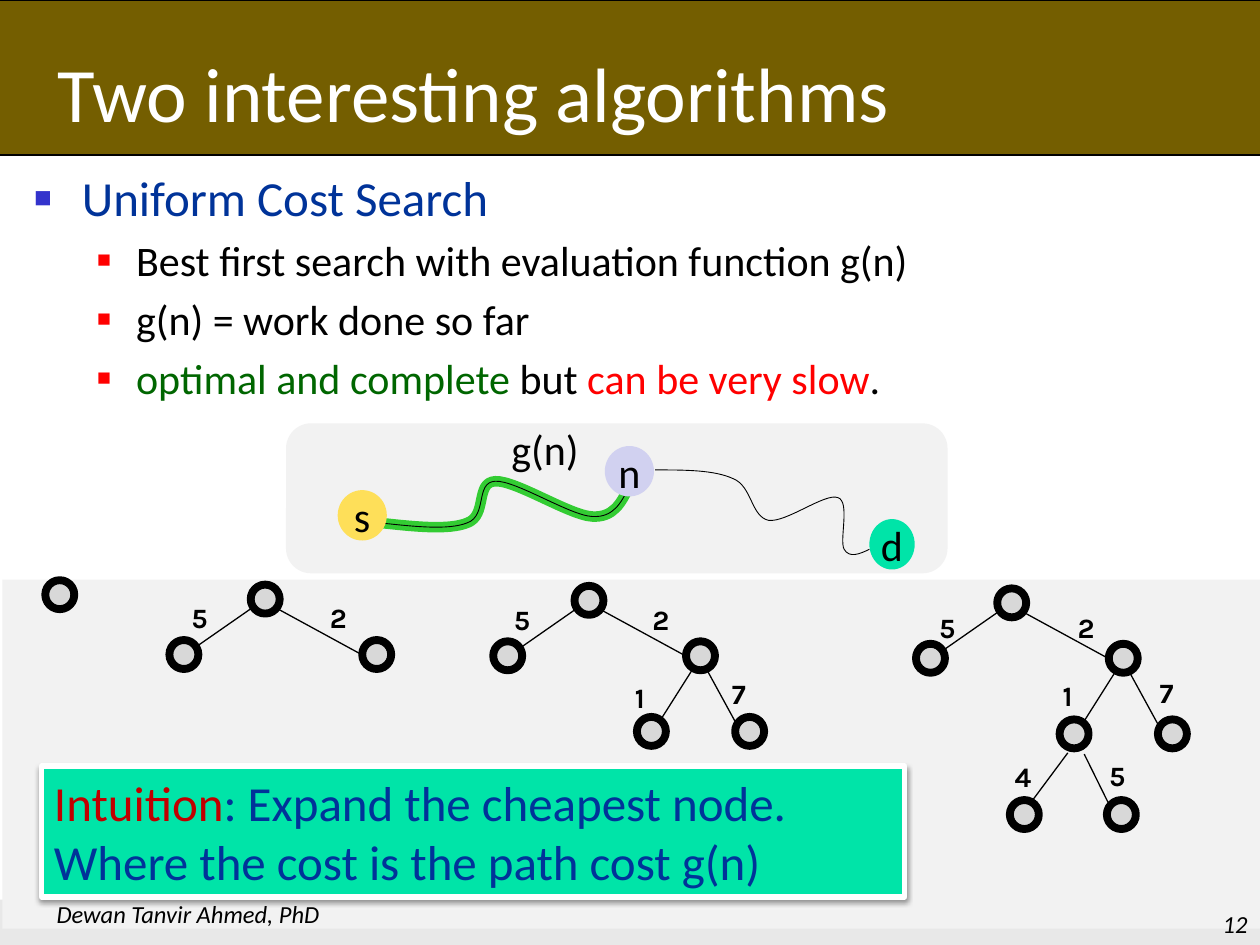
from dataclasses import dataclass

import pptx
import pptx.dml.color
import pptx.enum.shapes
import pptx.enum.text
import pptx.oxml
import pptx.oxml.ns
import pptx.util
from lxml import etree

ALIGN = pptx.enum.text.PP_ALIGN
ANCHOR = pptx.enum.text.MSO_ANCHOR
SHAPE = pptx.enum.shapes.MSO_SHAPE
COLUMNS, ROWS = 100, 75


@dataclass(frozen=True)
class Theme:
    font: str = "Calibri"
    cost_font: str = "Karla"
    black: str = "000000"
    white: str = "FFFFFF"
    header: str = "745E00"
    footer: str = "E8E8E8"
    panel: str = "F2F2F2"
    node: str = "C0C0C0"
    navy: str = "003399"
    bullet: str = "3333CC"
    red: str = "FF0000"
    dark_red: str = "C00000"
    dark_green: str = "006600"
    route: str = "33CC33"
    start: str = "FEDF59"
    middle: str = "D1D1F0"
    goal: str = "00E4A8"
    title_size: int = 44
    lead_size: int = 28
    body_size: int = 24
    cost_size: int = 16
    note_size: int = 14


def rgb(value):
    return pptx.dml.color.RGBColor.from_string(value)


def add_xml(parent, tag, **attributes):
    return etree.SubElement(parent, pptx.oxml.ns.qn(tag), attributes)


def write(paragraph, *pieces, size, font=Theme.font, color=Theme.black,
          bold=False, italic=False, align=ALIGN.LEFT):
    """Add pieces to a paragraph; each is a string or a (string, colour) pair."""
    paragraph.alignment = align
    for piece in pieces:
        words, shade = (piece, color) if isinstance(piece, str) else piece
        run = paragraph.add_run()
        run.text = words
        run.font.name, run.font.size = font, pptx.util.Pt(size)
        run.font.bold, run.font.italic = bold, italic
        run.font.color.rgb = rgb(shade)


def bend(shape):
    """Turn each three straight segments of a freeform into one cubic curve."""
    lines = list(shape._element.iter(pptx.oxml.ns.qn("a:lnTo")))
    for first in range(0, len(lines), 3):
        cubic = add_xml(lines[first].getparent(), "a:cubicBezTo")
        for line in lines[first:first + 3]:
            cubic.append(line[0])
            line.getparent().remove(line)


class SlideBuilder:
    """Places elements on a grid of COLUMNS by ROWS."""

    def __init__(self, deck, theme):
        self.theme = theme
        self.column = deck.slide_width / COLUMNS
        self.row = deck.slide_height / ROWS
        self.slide = deck.slides.add_slide(deck.slide_layouts[1])
        self.shapes = self.slide.shapes

    def emu(self, x, y):
        return round(x * self.column), round(y * self.row)

    def box(self, x, y, width, height):
        return *self.emu(x, y), *self.emu(width, height)

    def placeholder(self, index, area):
        """Move a placeholder into its area, in front of what is already drawn."""
        holder = self.slide.placeholders[index]
        holder.left, holder.top, holder.width, holder.height = self.box(*area)
        holder.element.getparent().append(holder.element)
        holder.text_frame.auto_size = pptx.enum.text.MSO_AUTO_SIZE.NONE
        holder.text_frame.vertical_anchor = ANCHOR.TOP
        return holder.text_frame

    def title(self, words, area):
        write(self.placeholder(0, area).paragraphs[0], words,
              size=self.theme.title_size, color=self.theme.white)

    def bullets(self, items, area):
        """Fill the body with (level, pieces) items."""
        theme, frame = self.theme, self.placeholder(1, area)
        styles = [(theme.lead_size, theme.navy, theme.bullet, 0.38, 0.38, "60000"),
                  (theme.body_size, theme.black, theme.red, 0.81, 0.31, "55000")]
        for number, (level, pieces) in enumerate(items):
            paragraph = frame.add_paragraph() if number else frame.paragraphs[0]
            size, color, mark, margin, hanging, scale = styles[level]
            paragraph.level = level
            paragraph.space_before = pptx.util.Pt(size * 0.2)
            write(paragraph, *pieces, size=size, color=color)
            layout = paragraph._p.get_or_add_pPr()
            layout.set("marL", str(pptx.util.Inches(margin)))
            layout.set("indent", str(-pptx.util.Inches(hanging)))
            add_xml(add_xml(layout, "a:buClr"), "a:srgbClr", val=mark)
            add_xml(layout, "a:buSzPct", val=scale)
            add_xml(layout, "a:buFont", typeface="Arial")
            add_xml(layout, "a:buChar", char="■")

    def text(self, words, area, anchor=ANCHOR.TOP, wrap=False, **style):
        frame = self.shapes.add_textbox(*self.box(*area)).text_frame
        frame.word_wrap, frame.vertical_anchor = wrap, anchor
        write(frame.paragraphs[0], words, **style)

    def shape(self, kind, area, fill, line=None, weight=0.75):
        shape = self.shapes.add_shape(kind, *self.box(*area))
        self.finish(shape, fill, line, weight)
        return shape

    def finish(self, shape, fill, line, weight):
        shape.shadow.inherit = False
        if fill:
            shape.fill.solid()
            shape.fill.fore_color.rgb = rgb(fill)
        else:
            shape.fill.background()
        if line:
            shape.line.color.rgb = rgb(line)
            shape.line.width = pptx.util.Pt(weight)
        else:
            shape.line.fill.background()

    def curve(self, points, color, weight):
        first, *rest = [self.emu(*point) for point in points]
        outline = self.shapes.build_freeform(*first)
        outline.add_line_segments(rest, close=False)
        route = outline.convert_to_shape()
        bend(route)
        self.finish(route, None, color, weight)

    def state(self, letter, area, fill):
        frame = self.shape(SHAPE.OVAL, area, fill).text_frame
        frame.word_wrap, frame.vertical_anchor = False, ANCHOR.MIDDLE
        write(frame.paragraphs[0], letter, size=self.theme.body_size, align=ALIGN.CENTER)

    def callout(self, pieces, area):
        theme = self.theme
        card = self.shape(SHAPE.RECTANGLE, area, theme.goal, theme.white, 3)
        shadow = add_xml(card._element.spPr.find(pptx.oxml.ns.qn("a:effectLst")),
                         "a:outerShdw", blurRad="39400", dist="20300", dir="5400000")
        add_xml(add_xml(shadow, "a:srgbClr", val=theme.black), "a:alpha", val="38000")
        card.text_frame.word_wrap = True
        card.text_frame.vertical_anchor = ANCHOR.TOP
        write(card.text_frame.paragraphs[0], *pieces, size=theme.lead_size, color=theme.navy)

    def edge(self, start, end):
        line = self.shapes.add_connector(pptx.enum.shapes.MSO_CONNECTOR.STRAIGHT,
                                         *self.emu(*start), *self.emu(*end))
        line.line.color.rgb = rgb(self.theme.black)
        line.line.width = pptx.util.Pt(0.75)
        add_xml(line._element.spPr, "a:effectLst")

    def node(self, x, y):
        ring = self.shape(SHAPE.OVAL, (x - 1.15, y - 1.15, 2.3, 2.3),
                          self.theme.node, self.theme.black, 4.5)
        color = ring._element.spPr.find(pptx.oxml.ns.qn("a:solidFill"))[0]
        add_xml(color, "a:alpha", val="50000")

    def tree(self, root, levels, nudges):
        """Draw a search tree; nudges shift the costs of each level."""
        def at(offset, shift=(0, 0)):
            return tuple(r + o + s for r, o, s in zip(root, offset, shift))

        self.node(*root)
        for level, nudge in zip(levels, nudges):
            for child, start, end, cost, spot in level:
                self.node(*at(child))
                self.edge(at(start), at(end))
                x, y = at(spot, nudge)
                self.text(cost, (x - 1.75, y - 1.85, 3.5, 3.7), size=self.theme.cost_size,
                          font=self.theme.cost_font, bold=True)


# Branches by depth: child, edge start, edge end, cost, cost centre; all relative to the root.
LEVELS = [
    [((-6.45, 4.4), (-1.05, 0.7), (-5.5, 3.8), "5", (-5.1, 1.5)),
     ((8.85, 4.4), (0.95, 0.75), (7.65, 4.4), "2", (5.9, 1.5))],
    [((4.95, 10.4), (8.2, 5.5), (5.7, 9.45), "1", (4.4, 7.7)),
     ((12.75, 10.4), (9.4, 5.6), (11.75, 9.9), "7", (12.1, 7.4))],
    [((1, 16.8), (4.45, 11.9), (1.55, 15.8), "4", (1, 13.8)),
     ((8.7, 16.8), (5.75, 12), (7.75, 16.05), "5", (8.5, 13.7))],
]
TREES = [((4.75, 47.2), []),
         ((21.05, 47.55), [(0, 0)]),
         ((46.75, 47.65), [(-0.1, 0), (0, 0)]),
         ((80.3, 47.85), [(0.1, 0.5), (0.4, -0.3), (0, 0)])]
DONE = [(30.1, 41.5), (32.9, 41.8), (35.6, 42.1), (37.1, 41.5),
        (38.7, 40.9), (37.7, 38.3), (39.3, 38.2),
        (40.9, 38.1), (45.2, 40.9), (47, 41),
        (48.7, 41.1), (49.3, 39.9), (49.9, 38.7)]
AHEAD = [(52, 37.3), (54.4, 37.3), (56.7, 37.3), (58.2, 38),
         (59.7, 38.6), (59.6, 41), (61, 41.3),
         (62.4, 41.5), (65.5, 39.1), (66.5, 39.5),
         (67.5, 39.8), (66.6, 42.9), (67, 43.6),
         (67.4, 44.3), (68.2, 44), (69, 43.6)]


def main():
    deck = pptx.Presentation()
    deck.slide_width, deck.slide_height = pptx.util.Inches(10), pptx.util.Inches(7.5)
    theme = Theme()
    page = SlideBuilder(deck, theme)

    page.shape(SHAPE.RECTANGLE, (0, 71.4, 100, 3.6), theme.footer)
    page.shape(SHAPE.RECTANGLE, (-2, 0, 103.9, 12.3), theme.header, theme.black)
    page.shape(SHAPE.ROUNDED_RECTANGLE, (22.7, 33.6, 52.5, 11.9), theme.panel)
    page.curve(DONE, theme.route, 6)
    page.bullets([
        (0, ["Uniform Cost Search"]),
        (1, ["Best first search with evaluation function g(n)"]),
        (1, ["g(n) = work done so far"]),
        (1, [("optimal and complete ", theme.dark_green), "but ",
             ("can be very slow", theme.red), "."]),
    ], (1.7, 12.8, 92.8, 21.3))
    page.title("Two interesting algorithms", (3.6, 3.1, 86.1, 8.8))

    page.shape(SHAPE.RECTANGLE, (0.2, 46, 100, 27.7), theme.panel)
    page.callout([("Intuition", theme.dark_red),
                  ": Expand the cheapest node. Where the cost is the path cost g(n)"],
                 (3.3, 60.8, 68.5, 10.4))
    for root, nudges in TREES:
        page.tree(root, LEVELS, nudges)

    note = dict(anchor=ANCHOR.BOTTOM, wrap=True, size=theme.note_size, italic=True)
    page.text("Dewan Tanvir Ahmed, PhD", (3.5, 69.2, 84.2, 5), **note)
    page.text("12", (79.2, 70, 20.8, 5), align=ALIGN.RIGHT, **note)

    page.curve(DONE, theme.black, 0.5)
    page.state("s", (26.8, 38.9, 3.9, 4), theme.start)
    page.state("n", (48, 35.4, 3.9, 4), theme.middle)
    page.state("d", (69, 41.2, 3.6, 4), theme.goal)
    page.curve(AHEAD, theme.black, 0.5)
    page.text("g(n)", (39.6, 33.1, 7.7, 5), size=theme.body_size)
    deck.save("out.pptx")


if __name__ == "__main__":
    main()
